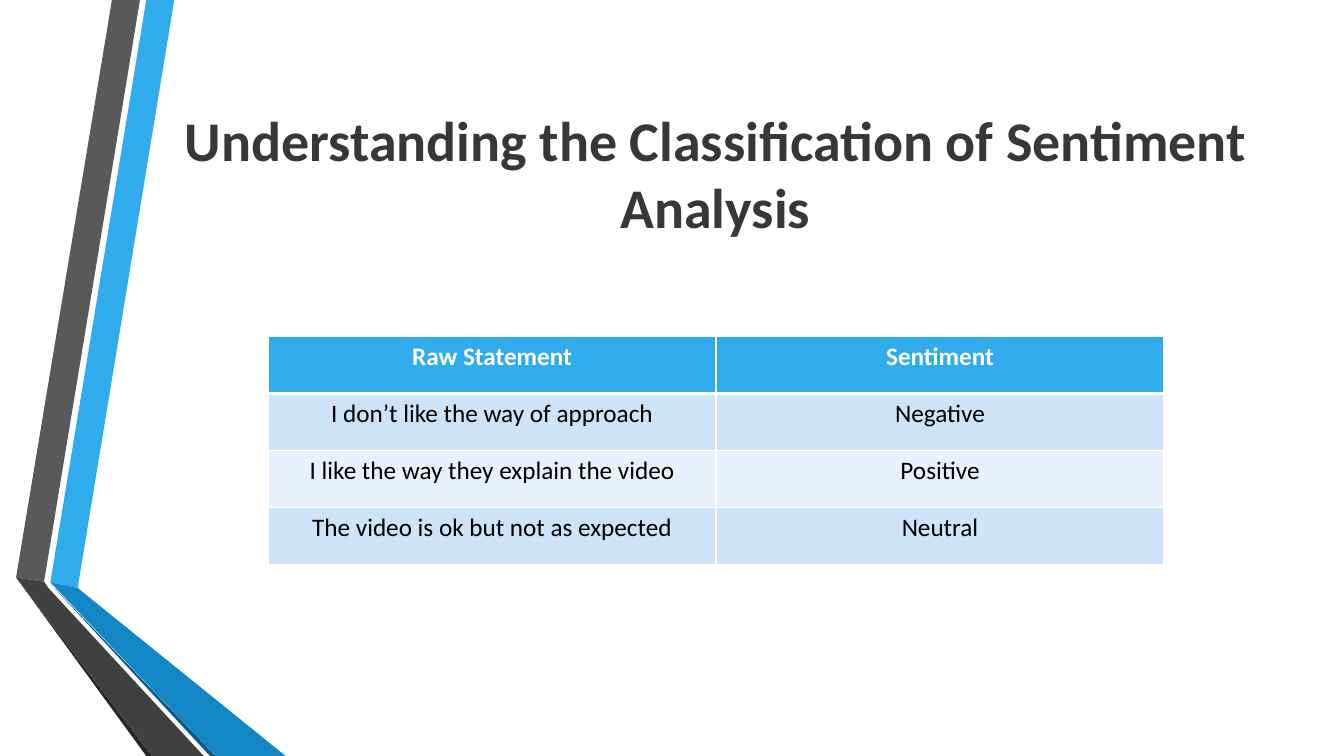
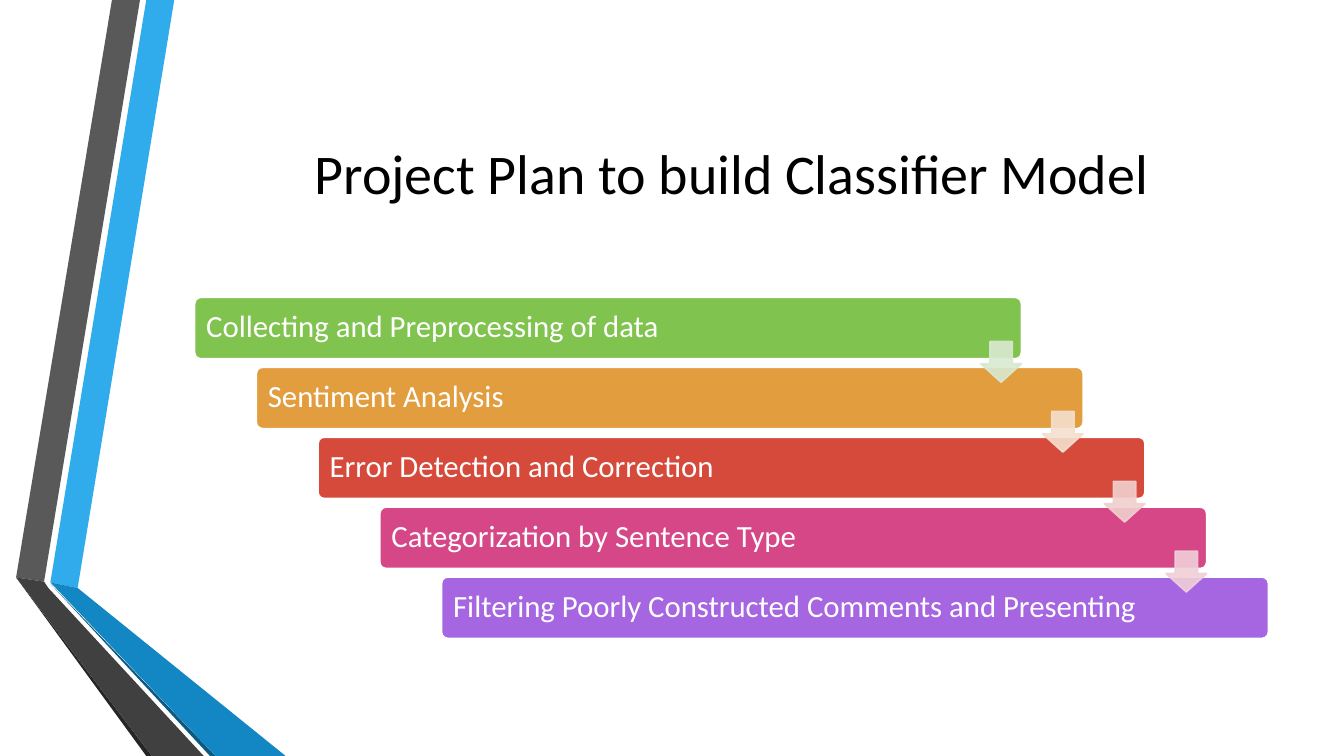
from lxml import etree
from pptx import Presentation
from pptx import util as u
from pptx.dml import color
from pptx.enum import shapes, text
from pptx.oxml import ns

Pt = u.Pt
FONT = "Calibri"
COLORS = {
    "white": "FFFFFF", "black": "000000", "title": "373737",
    "blue": "30ACEC", "blue_low": "1287C3", "blue_edge": "0C5A82",
    "grey": "595959", "grey_low": "404040", "grey_edge": "262626",
    "band_dark": "CDE3F8", "band_light": "E8F1FB",
    "green": "80C34F", "orange": "E29D3E", "red": "D64A3B", "pink": "D64787", "purple": "A666E1",
    "pale_green": "D8E9D0", "pale_orange": "F4DFCE", "pale_red": "F0D0CE", "pale_pink": "F0CFD9",
}
RIBBONS = [
    ("blue", [(36, 416), (55.5, 420), (124.5, 0), (104.5, 0)]),
    ("grey", [(100, 0), (80, 0), (11.5, 412.5), (31.5, 415.5)]),
    ("grey_edge", [(11.5, 412.5), (104.5, 540), (108.5, 540)]),
    ("blue_edge", [(36, 417), (150, 540), (154, 540)]),
    ("blue_low", [(36, 416), (154, 540), (204, 540), (55.5, 420)]),
    ("grey_low", [(145.5, 540), (34.5, 420), (31.5, 415.5), (11.5, 412.5), (108.5, 540)]),
]
STATEMENTS = [
    ("Raw Statement", "Sentiment"),
    ("I don’t like the way of approach", "Negative"),
    ("I like the way they explain the video", "Positive"),
    ("The video is ok but not as expected", "Neutral"),
]
STEPS = [
    ("Collecting and Preprocessing of data", "green"),
    ("Sentiment Analysis", "orange"),
    ("Error Detection and Correction", "red"),
    ("Categorization by Sentence Type", "pink"),
    ("Filtering Poorly Constructed Comments and Presenting", "purple"),
]
ARROWS = ["pale_green", "pale_orange", "pale_red", "pale_pink"]


def rgb(name):
    return color.RGBColor.from_string(COLORS[name])


def paint(sp, fill, line=None):
    sp.shadow.inherit = False
    sp.fill.solid()
    sp.fill.fore_color.rgb = rgb(fill)
    if line:
        sp.line.color.rgb = rgb(line)
        sp.line.width = Pt(1.25)
    else:
        sp.line.fill.background()


def set_font(p, size, name, bold=False):
    p.font.name, p.font.size, p.font.bold = FONT, Pt(size), bold
    p.font.color.rgb = rgb(name)


def set_opacity(sp, percent):
    for clr in sp.element.spPr.iter(ns.qn("a:srgbClr")):
        etree.SubElement(clr, ns.qn("a:alpha"), val=str(percent * 1000))


def add_ribbons(s, layout):
    for name, points in RIBBONS:
        (x, y), *rest = [(Pt(x), Pt(y)) for x, y in points]
        builder = s.shapes.build_freeform(x, y)
        builder.add_line_segments(rest)
        sp = builder.convert_to_shape()
        paint(sp, name)
        layout.shapes.element.append(sp.element)


def add_title(s, title, box, name, bold=False):
    sp = s.shapes.title
    sp.left, sp.top, sp.width, sp.height = map(Pt, box)
    tf = sp.text_frame
    tf.text = title
    tf.auto_size = text.MSO_AUTO_SIZE.NONE
    tf.vertical_anchor = text.MSO_ANCHOR.MIDDLE
    p = tf.paragraphs[0]
    p.alignment = text.PP_ALIGN.CENTER
    set_font(p, 40, name, bold)


def set_borders(cell, **widths):
    tcPr = cell._tc.get_or_add_tcPr()
    for i, side in enumerate("LRTB"):
        ln = etree.Element(ns.qn(f"a:ln{side}"), w=str(Pt(widths.get(side, 1))))
        fill = etree.SubElement(ln, ns.qn("a:solidFill"))
        etree.SubElement(fill, ns.qn("a:srgbClr"), val=COLORS["white"])
        tcPr.insert(i, ln)


def add_statement_table(s, box):
    table = s.shapes.add_table(len(STATEMENTS), 2, *map(Pt, box)).table
    for r, row in enumerate(STATEMENTS):
        for c, value in enumerate(row):
            cell = table.cell(r, c)
            cell.text = value
            cell.fill.solid()
            band = "band_dark" if r % 2 else "band_light"
            cell.fill.fore_color.rgb = rgb(band if r else "blue")
            p = cell.text_frame.paragraphs[0]
            p.alignment = text.PP_ALIGN.CENTER
            set_font(p, 18, "black" if r else "white", r == 0)
            set_borders(cell, B=1 if r else 3, T=3 if r == 1 else 1)


def add_staircase(s, box):
    x, y, w, h = box
    bar_w, bar_h, arrow = 0.77 * w, 0.18 * h, 29
    dx, dy = (w - bar_w) / (len(STEPS) - 1), (h - bar_h) / (len(STEPS) - 1)
    for i, (label, name) in enumerate(STEPS):
        sp = s.shapes.add_shape(shapes.MSO_SHAPE.ROUNDED_RECTANGLE,
                                Pt(x + i * dx), Pt(y + i * dy), Pt(bar_w), Pt(bar_h))
        sp.adjustments[0] = 0.1
        paint(sp, name, "white")
        tf = sp.text_frame
        tf.text = label
        tf.word_wrap = True
        tf.vertical_anchor = text.MSO_ANCHOR.MIDDLE
        tf.margin_left = tf.margin_right = Pt(7)
        p = tf.paragraphs[0]
        p.alignment = text.PP_ALIGN.LEFT
        p.line_spacing = 0.9
        set_font(p, 22, "white")
    for i, name in enumerate(ARROWS):
        sp = s.shapes.add_shape(shapes.MSO_SHAPE.DOWN_ARROW,
                                Pt(x + i * dx + bar_w - arrow), Pt(y + i * dy + 0.72 * bar_h),
                                Pt(arrow), Pt(arrow))
        sp.adjustments[0], sp.adjustments[1] = 0.55, 0.45
        paint(sp, name, name)
        set_opacity(sp, 90)


def main():
    prs = Presentation()
    prs.slide_width, prs.slide_height = Pt(960), Pt(540)
    layout = prs.slide_layouts[5]

    s = prs.slides.add_slide(layout)
    add_ribbons(s, layout)
    add_title(s, "Understanding the Classification of Sentiment Analysis",
              (116.5, 54, 789, 138), "title", True)
    add_statement_table(s, (191.5, 240.5, 640, 162.7))

    s = prs.slides.add_slide(layout)
    add_title(s, "Project Plan to build Classifier Model", (139, 54, 767, 138), "black")
    add_staircase(s, (139, 212.4, 767, 243.6))

    prs.save("out.pptx")


if __name__ == "__main__":
    main()
